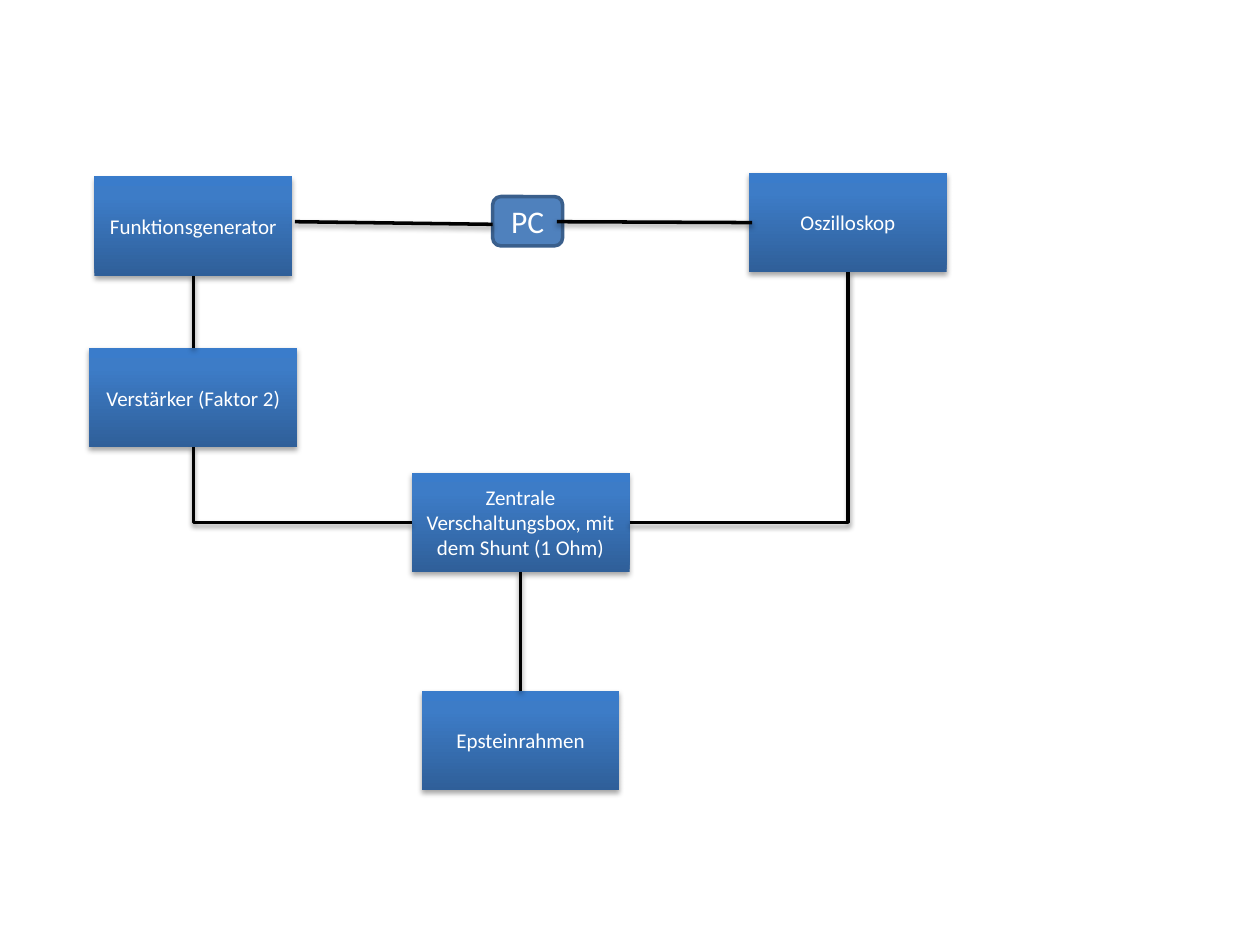
from copy import deepcopy
from typing import NamedTuple

from lxml import etree
from pptx import Presentation
from pptx.dml.color import RGBColor
from pptx.enum.shapes import MSO_CONNECTOR, MSO_SHAPE
from pptx.enum.text import MSO_ANCHOR, PP_ALIGN
from pptx.oxml.ns import qn
from pptx.util import Pt

RECT, ROUNDED = MSO_SHAPE.RECTANGLE, MSO_SHAPE.ROUNDED_RECTANGLE
STRAIGHT = MSO_CONNECTOR.STRAIGHT
CENTER, MIDDLE = PP_ALIGN.CENTER, MSO_ANCHOR.MIDDLE
TOP, LEFT, BOTTOM, RIGHT = range(4)  # connection sites of a rectangle

WHITE, BLACK = "FFFFFF", "000000"
GRADIENT = ((0, "2F5F99"), (0.8, "3D7CC7"), (1, "3A7CCB"))
COL_1, COL_2, COL_3 = 110.5, 297.5, 484.5  # column centres
BOX_H = 57


class Device(NamedTuple):
    text: str
    center: float
    top: float
    width: float = 113


class Link(NamedTuple):
    start: int
    start_site: int
    end: int
    end_site: int
    bent: bool = False


class Wire(NamedTuple):
    x1: float
    y1: float
    x2: float
    y2: float


GENERATOR, AMPLIFIER, JUNCTION, SCOPE, FRAME = range(5)
DEVICES = [
    Device("Funktionsgenerator", COL_1, 100.8),
    Device("Verstärker (Faktor 2)", COL_1, 198.7, 119),
    Device("Zentrale Verschaltungsbox, mit dem Shunt (1 Ohm)", COL_2, 270, 124.6),
    Device("Oszilloskop", COL_3, 98.6),
    Device("Epsteinrahmen", COL_2, 394.6),
]
LINKS = [
    Link(JUNCTION, LEFT, AMPLIFIER, BOTTOM, bent=True),
    Link(JUNCTION, BOTTOM, FRAME, TOP),
    Link(JUNCTION, RIGHT, SCOPE, BOTTOM, bent=True),
    Link(GENERATOR, BOTTOM, AMPLIFIER, TOP),
]
PC_WIRES = [Wire(318.2, 126.7, 429.8, 127.2), Wire(168.5, 126.7, 281.5, 128.2)]


def rgb(color: str) -> RGBColor:
    return RGBColor.from_string(color)


def add_shadow(shape, distance: float, opacity: int) -> None:
    sp_pr = shape._element.spPr
    effects = sp_pr.find(qn("a:effectLst"))
    if effects is None:
        effects = etree.SubElement(sp_pr, qn("a:effectLst"))
    shadow = etree.SubElement(
        effects, qn("a:outerShdw"), blurRad=str(Pt(3.1)), dist=str(Pt(distance)),
        dir="5400000", rotWithShape="0")
    color = etree.SubElement(shadow, qn("a:srgbClr"), val=BLACK)
    etree.SubElement(color, qn("a:alpha"), val=str(opacity * 1000))


def set_gradient(sp) -> None:
    sp.fill.gradient()
    sp.fill.gradient_angle = 90
    stops = sp._element.spPr.find(qn("a:gradFill")).find(qn("a:gsLst"))
    stops.insert(1, deepcopy(stops[0]))
    for stop, (position, color) in zip(sp.fill.gradient_stops, GRADIENT):
        stop.position = position
        stop.color.rgb = rgb(color)


def add_label(sp, text: str, size: float) -> None:
    tf = sp.text_frame
    tf.word_wrap = True
    tf.vertical_anchor = MIDDLE
    p = tf.paragraphs[0]
    p.alignment = CENTER
    r = p.add_run()
    r.text = text
    r.font.name = "Calibri"
    r.font.size = Pt(size)
    r.font.color.rgb = rgb(WHITE)


def add_device(s, device: Device):
    sp = s.shapes.add_shape(
        RECT, Pt(device.center - device.width / 2), Pt(device.top),
        Pt(device.width), Pt(BOX_H))
    sp.shadow.inherit = False
    set_gradient(sp)
    sp.line.fill.background()
    add_shadow(sp, 1.8, 35)
    add_label(sp, device.text, 12)
    return sp


def add_wire(s, wire: Wire):
    line = s.shapes.add_connector(STRAIGHT, *(Pt(v) for v in wire))
    line.line.color.rgb = rgb(BLACK)
    line.line.width = Pt(2)
    add_shadow(line, 1.6, 38)
    return line


def add_link(s, boxes: list, link: Link) -> None:
    line = add_wire(s, Wire(0, 0, 0, 0))
    line.begin_connect(boxes[link.start], link.start_site)
    line.end_connect(boxes[link.end], link.end_site)
    if link.bent:
        line._element.spPr.find(qn("a:prstGeom")).set("prst", "bentConnector2")


def add_pc(s) -> None:
    sp = s.shapes.add_shape(ROUNDED, Pt(281.5), Pt(112.3), Pt(40), Pt(28.2))
    sp.shadow.inherit = False
    sp.fill.solid()
    sp.fill.fore_color.rgb = rgb("4F81BD")
    sp.line.color.rgb = rgb("3A5F8C")
    sp.line.width = Pt(2)
    add_label(sp, "PC", 18)


def main() -> None:
    prs = Presentation()
    prs.slide_width, prs.slide_height = Pt(720), Pt(540)
    s = prs.slides.add_slide(prs.slide_layouts[6])

    # Measuring devices and the cables between them
    boxes = [add_device(s, device) for device in DEVICES]
    for link in LINKS:
        add_link(s, boxes, link)

    # PC with its two control lines
    add_pc(s)
    for wire in PC_WIRES:
        add_wire(s, wire)

    prs.save("out.pptx")


if __name__ == "__main__":
    main()
